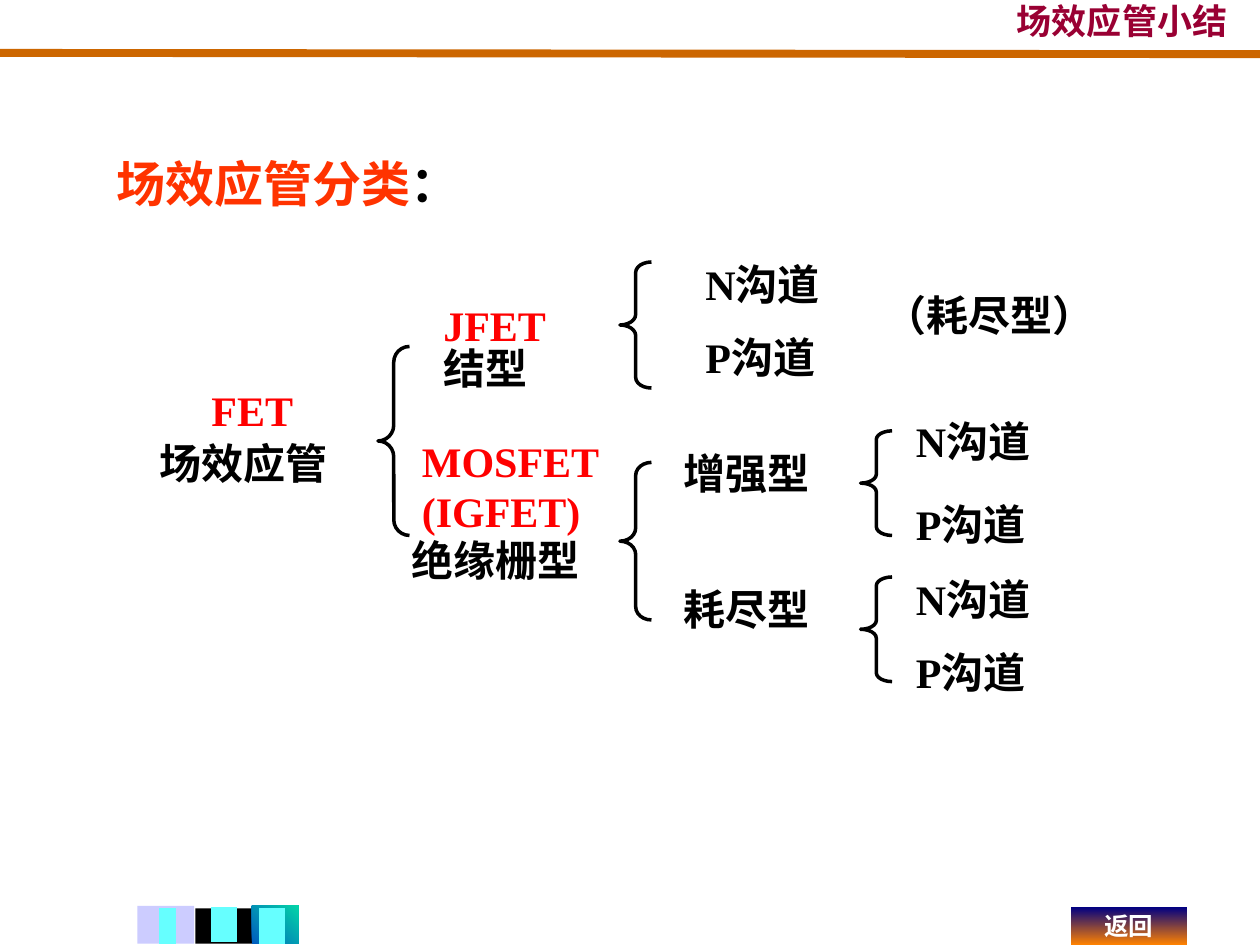
from lxml import etree
from pptx import Presentation
from pptx import util as u
from pptx.dml.color import RGBColor
from pptx.enum import shapes, text
from pptx.oxml.ns import qn


def rgb(color):
    return RGBColor.from_string(color)


def write(sp, runs, size, font="Times New Roman", align=None, inset=None, spacing=None):
    """Fill one paragraph with (text, colour) runs."""
    tf = sp.text_frame
    tf.word_wrap = True
    if inset is not None:
        tf.margin_left = tf.margin_right = tf.margin_top = tf.margin_bottom = u.Inches(inset)
    p = tf.paragraphs[0]
    p.alignment = align
    p.line_spacing = spacing
    p.font.size, p.font.name, p.font.bold = u.Pt(size), font, True
    for words, color in runs:
        r = p.add_run()
        r.text = words
        r.font.color.rgb = rgb(color)


prs = Presentation()
prs.slide_width, prs.slide_height = u.Inches(10), u.Inches(7.5)
s = prs.slides.add_slide(prs.slide_layouts[6])

BLACK, RED, CYAN = "000000", "FF0000", "66FFFF"

# Classification labels: left, top, width, text, colour
labels = [
    (5.5, 1.92, 1.42, "N沟道", BLACK),
    (5.5, 2.5, 1.42, "P沟道", BLACK),
    (5.33, 3.42, 1.42, "增强型", BLACK),
    (5.33, 4.5, 1.42, "耗尽型", BLACK),
    (7.17, 3.17, 1.42, "N沟道", BLACK),
    (7.17, 3.83, 1.42, "P沟道", BLACK),
    (7.17, 4.42, 1.42, "N沟道", BLACK),
    (7.17, 5, 1.42, "P沟道", BLACK),
    (6.92, 2.17, 2.17, "（耗尽型）", BLACK),
    (1.58, 2.92, 1.42, "FET", RED),
    (1.17, 3.34, 1.92, "场效应管", BLACK),
    (3.42, 2.25, 1.42, "JFET", RED),
    (3.42, 2.59, 1.42, "结型", BLACK),
    (3.25, 3.33, 2.08, "MOSFET", RED),
    (3.17, 4.11, 2, "绝缘栅型", BLACK),
    (3.25, 3.72, 2, "(IGFET)", RED),
]
for x, y, w, words, color in labels:
    sp = s.shapes.add_textbox(u.Inches(x), u.Inches(y), u.Inches(w), u.Inches(0.58))
    write(sp, [(words, color)], 24, spacing=1.2)

# Braces: left, top, height; the curl is one twelfth of the height
brace_width = 0.25
for x, y, h in [(3, 2.75, 1.5), (4.92, 2.08, 1), (4.92, 3.67, 1.25),
                (6.83, 3.42, 0.83), (6.83, 4.58, 0.83)]:
    sp = s.shapes.add_shape(shapes.MSO_SHAPE.LEFT_BRACE, u.Inches(x), u.Inches(y),
                            u.Inches(brace_width), u.Inches(h))
    sp.shadow.inherit = False
    sp.adjustments[0] = h / 12 / brace_width
    sp.fill.background()
    sp.line.color.rgb = rgb(BLACK)
    sp.line.width = u.Pt(2)

# Headings
sp = s.shapes.add_textbox(u.Inches(0.83), u.Inches(1.08), u.Inches(3.67), u.Inches(0.66))
write(sp, [("场效应管分类", "FF3300"), ("：", BLACK)], 28, spacing=1.2)
sp = s.shapes.add_textbox(u.Inches(3.42), 0, u.Inches(6.32), u.Inches(0.33))
write(sp, [("场效应管小结", "990033")], 20, "Arial", text.PP_ALIGN.RIGHT, 0)

# Navigation blocks: left, top, width, height, fill colours, gradient angle
blocks = [
    (1.09, 7.19, 0.45, 0.3, ["CCCCFF"], None),
    (1.55, 7.21, 0.45, 0.28, [BLACK], None),
    (2, 7.19, 0.37, 0.3, ["005CBF", "03D4A8"], 45),
    (8.5, 7.2, 0.92, 0.3, ["000082", "FF8200"], 270),
]
for x, y, w, h, colors, angle in blocks:
    sp = s.shapes.add_shape(shapes.MSO_SHAPE.RECTANGLE, u.Inches(x), u.Inches(y),
                            u.Inches(w), u.Inches(h))
    sp.shadow.inherit = False
    sp.line.fill.background()
    if angle is None:
        sp.fill.solid()
        sp.fill.fore_color.rgb = rgb(colors[0])
    else:
        sp.fill.gradient()
        sp.fill.gradient_angle = angle
        for stop, color in zip(sp.fill.gradient_stops, colors):
            stop.color.rgb = rgb(color)
# The last block is the return button
write(sp, [("返回", "FFFFFF")], 14, align=text.PP_ALIGN.CENTER, inset=0)

# Bars on the blocks and the header rule: ends, colour, width
for x1, y1, x2, y2, color, width in [
    (1.33, 7.21, 1.33, 7.49, CYAN, 10),
    (1.78, 7.2, 1.78, 7.48, CYAN, 15),
    (2.16, 7.21, 2.16, 7.49, CYAN, 15),
    (0, 0.42, 10, 0.43, "CC6600", 4.5),
]:
    line = s.shapes.add_connector(shapes.MSO_CONNECTOR.STRAIGHT, u.Inches(x1), u.Inches(y1),
                                  u.Inches(x2), u.Inches(y2))
    line.line.color.rgb = rgb(color)
    line.line.width = u.Pt(width)
    etree.SubElement(line._element.spPr, qn("a:effectLst"))

prs.save("out.pptx")
